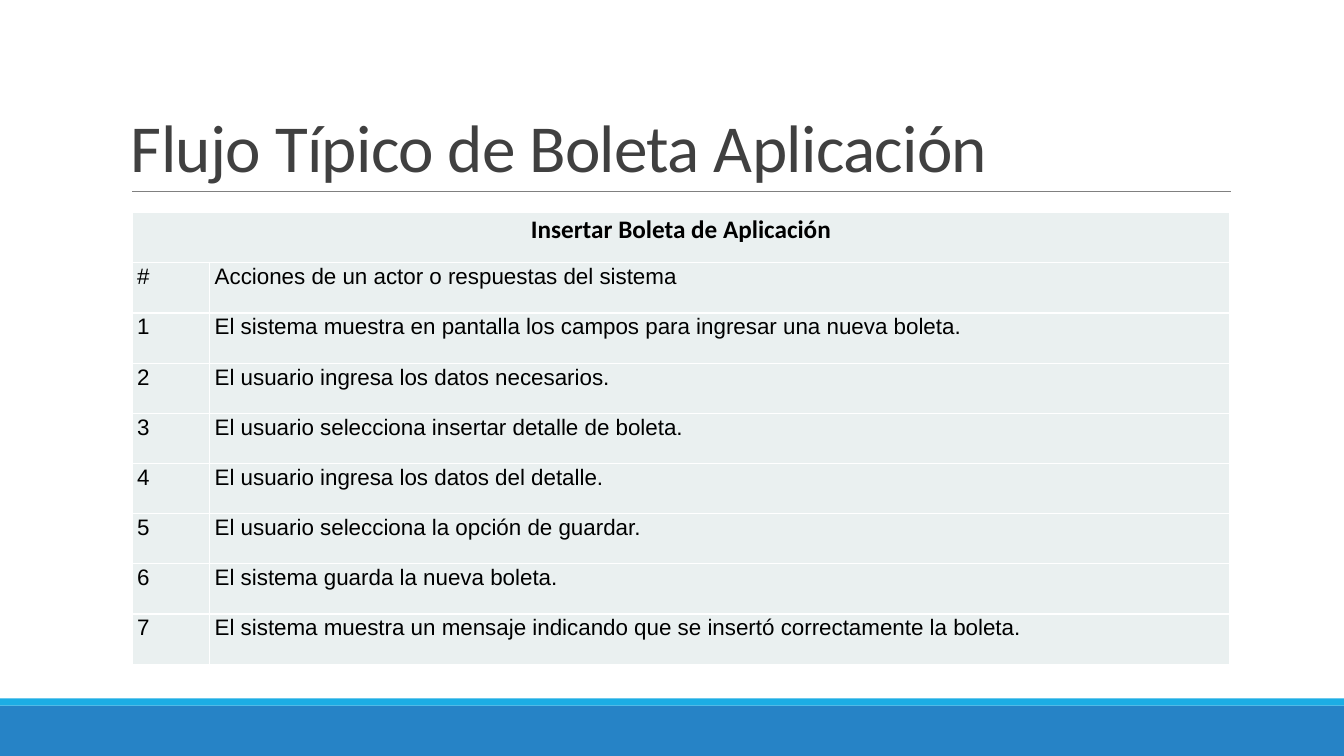
from lxml.etree import SubElement
from pptx import Presentation
from pptx.dml.color import RGBColor
from pptx.enum.shapes import MSO_CONNECTOR, MSO_SHAPE
from pptx.enum.text import MSO_ANCHOR, PP_ALIGN
from pptx.oxml.ns import qn
from pptx.util import Inches, Pt

COLORS = {
    "footer": "2683C6",
    "accent": "1CADE4",
    "rule": "808080",
    "title": "404040",
    "text": "000000",
    "cell": "EAF0F0",
    "border": "FFFFFF",
}
HEADING = "Insertar Boleta de Aplicación"
COLUMN_LABELS = ("#", "Acciones de un actor o respuestas del sistema")
STEPS = [
    "El sistema muestra en pantalla los campos para ingresar una nueva boleta.",
    "El usuario ingresa los datos necesarios.",
    "El usuario selecciona insertar detalle de boleta.",
    "El usuario ingresa los datos del detalle.",
    "El usuario selecciona la opción de guardar.",
    "El sistema guarda la nueva boleta.",
    "El sistema muestra un mensaje indicando que se insertó correctamente la boleta.",
]
COLUMN_WIDTHS = (0.77, 10.12)
TABLE_HEIGHT = 4.48


def rgb(name):
    """Return the palette colour with the given name."""
    return RGBColor.from_string(COLORS[name])


def write_text(frame, text, *, size=16, font="Arial", color="text", bold=False,
               align=PP_ALIGN.LEFT, line_spacing=1.07, tracking=0):
    """Write one formatted paragraph into a text frame."""
    paragraph = frame.paragraphs[0]
    paragraph.alignment = align
    paragraph.line_spacing = line_spacing
    run = paragraph.add_run()
    run.text = text
    run.font.size = Pt(size)
    run.font.name = font
    run.font.bold = bold
    run.font.color.rgb = rgb(color)
    if tracking:
        run._r.get_or_add_rPr().set("spc", str(round(tracking * 100)))


def add_band(slide, top, height, color):
    """Add a full-width colour band."""
    band = slide.shapes.add_shape(
        MSO_SHAPE.RECTANGLE, 0, Inches(top), Inches(13.33), Inches(height))
    band.shadow.inherit = False
    band.fill.solid()
    band.fill.fore_color.rgb = rgb(color)
    band.line.fill.background()


def add_rule(slide, left, right, top):
    """Add the thin horizontal rule under the title."""
    rule = slide.shapes.add_connector(
        MSO_CONNECTOR.STRAIGHT, Inches(left), Inches(top), Inches(right), Inches(top))
    rule.line.color.rgb = rgb("rule")
    rule.line.width = Pt(0.5)
    SubElement(rule._element.spPr, qn("a:effectLst"))


def add_title(slide, text):
    """Add the slide title, resting on the rule."""
    title = slide.shapes.add_textbox(Inches(1.2), Inches(0.31), Inches(11), Inches(1.59))
    frame = title.text_frame
    frame.word_wrap = True
    frame.vertical_anchor = MSO_ANCHOR.BOTTOM
    write_text(frame, text, size=48, font="Calibri", color="title",
               line_spacing=0.85, tracking=-0.5)


def style_cell(cell):
    """Set the margins, borders and fill of a table cell."""
    cell.margin_left = cell.margin_right = Inches(0.05)
    cell.margin_top = cell.margin_bottom = 0
    properties = cell._tc.get_or_add_tcPr()
    for side in ("lnL", "lnR", "lnT", "lnB"):
        border = SubElement(properties, qn(f"a:{side}"), w=str(Pt(1)))
        fill = SubElement(border, qn("a:solidFill"))
        SubElement(fill, qn("a:srgbClr"), val=COLORS["border"])
    cell.fill.solid()
    cell.fill.fore_color.rgb = rgb("cell")


def add_flow_table(slide):
    """Add the table of numbered steps under a merged heading."""
    body = [COLUMN_LABELS] + [(str(n), step) for n, step in enumerate(STEPS, 1)]
    row_count = len(body) + 1
    table = slide.shapes.add_table(
        row_count, len(COLUMN_WIDTHS), Inches(1.31), Inches(2.11),
        Inches(sum(COLUMN_WIDTHS)), Inches(TABLE_HEIGHT)).table
    for column, width in zip(table.columns, COLUMN_WIDTHS):
        column.width = Inches(width)
    for row in table.rows:
        row.height = Inches(TABLE_HEIGHT / row_count)
    for cell in table.iter_cells():
        style_cell(cell)
    heading = table.cell(0, 0)
    heading.merge(table.cell(0, 1))
    write_text(heading.text_frame, HEADING, size=18, font="Calibri", bold=True,
               align=PP_ALIGN.CENTER)
    for row_index, texts in enumerate(body, 1):
        for column_index, text in enumerate(texts):
            write_text(table.cell(row_index, column_index).text_frame, text)


def main():
    """Build the slide and save it."""
    deck = Presentation()
    deck.slide_width = Inches(13.33)
    deck.slide_height = Inches(7.5)
    slide = deck.slides.add_slide(deck.slide_layouts[6])
    add_band(slide, 7, 0.5, "footer")
    add_band(slide, 6.93, 0.07, "accent")
    add_rule(slide, 1.31, 12.21, 1.9)
    add_title(slide, "Flujo Típico de Boleta Aplicación")
    add_flow_table(slide)
    deck.save("out.pptx")


main()
